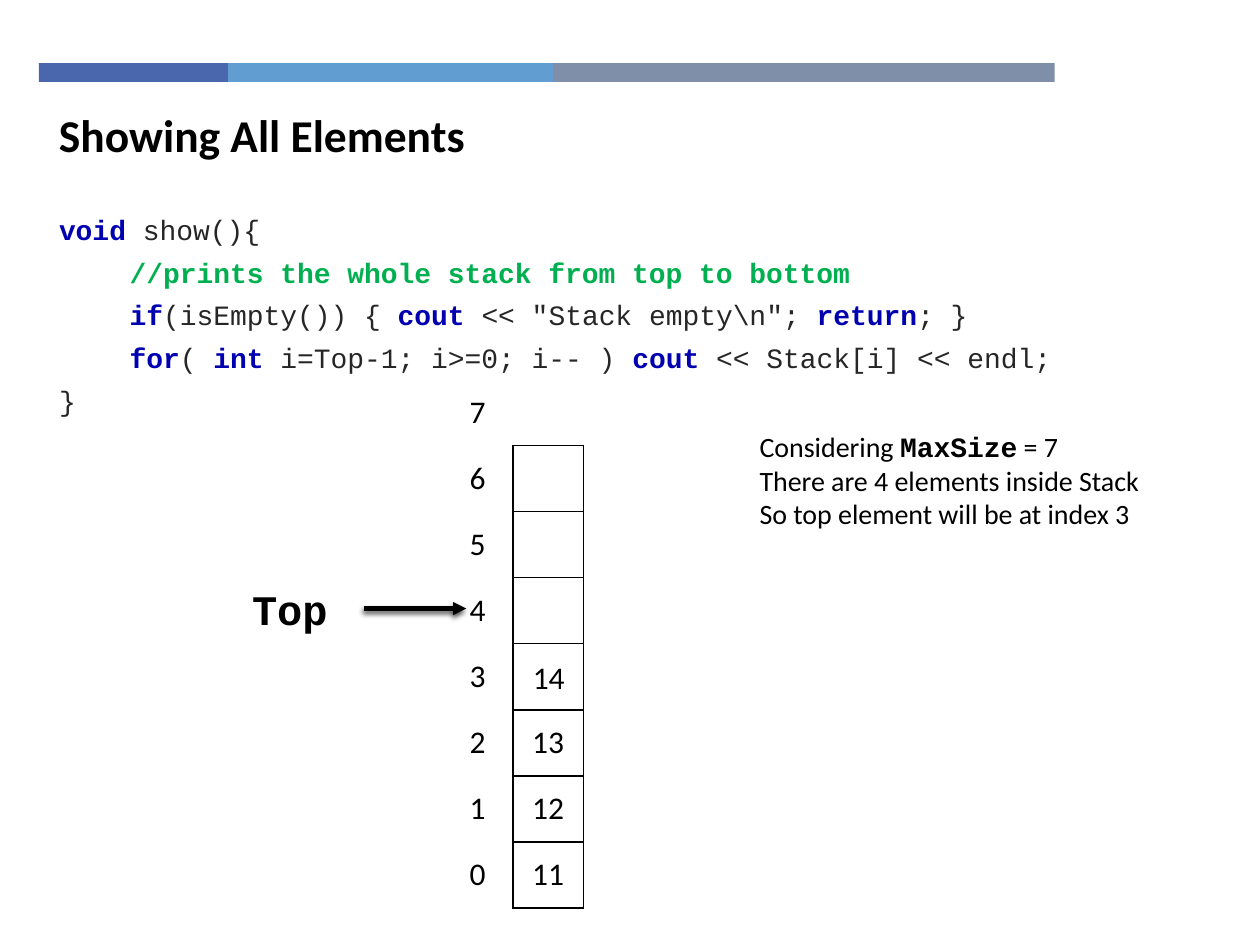
from lxml import etree
from pptx import Presentation
from pptx.dml.color import RGBColor
from pptx.enum.shapes import MSO_CONNECTOR, MSO_SHAPE
from pptx.enum.text import MSO_ANCHOR, PP_ALIGN
from pptx.oxml import parse_xml
from pptx.oxml.ns import nsdecls, qn
from pptx.util import Inches, Pt

RECTANGLE = MSO_SHAPE.RECTANGLE
STRAIGHT = MSO_CONNECTOR.STRAIGHT
TOP, MIDDLE = MSO_ANCHOR.TOP, MSO_ANCHOR.MIDDLE
LEFT, CENTER, JUSTIFY = PP_ALIGN.LEFT, PP_ALIGN.CENTER, PP_ALIGN.JUSTIFY

SANS, MONO = "Calibri", "Courier New"
BLACK, WHITE = "000000", "FFFFFF"
KEYWORD = ("0000B0", True)
PLAIN = ("262626", False)
COMMENT = ("00B050", True)

CODE_LINES = [
    [("void ", KEYWORD), ("show(){", PLAIN)],
    [("\t//prints the whole stack from top to bottom", COMMENT)],
    [("\tif", KEYWORD), ("(isEmpty()) { ", PLAIN), ("cout ", KEYWORD),
     ('<< "Stack empty\\n"; ', PLAIN), ("return", KEYWORD), ("; }", PLAIN)],
    [("\tfor", KEYWORD), ("( ", PLAIN), ("int ", KEYWORD),
     ("i=Top-1; i>=0; i-- ) ", PLAIN), ("cout", KEYWORD),
     (" << Stack[i] << endl;", PLAIN)],
    [("}", PLAIN)],
]
STACK = {0: "11", 1: "12", 2: "13"}
TOP_INDEX = 7
CELL_WIDTH, CELL_HEIGHT = 0.56, 0.525
TABLE_LEFT, TABLE_TOP = 3.51, 3.01


def rgb(value):
    return RGBColor.from_string(value)


def format_run(run, size, font=SANS, color=BLACK, bold=False):
    run.font.size = Pt(size)
    run.font.name = font
    run.font.bold = bold
    run.font.color.rgb = rgb(color)


def add_text(slide, box, lines, size, anchor=TOP, align=LEFT):
    shape = slide.shapes.add_textbox(*map(Inches, box))
    frame = shape.text_frame
    frame.word_wrap = True
    frame.vertical_anchor = anchor
    for index, segments in enumerate(lines):
        paragraph = frame.add_paragraph() if index else frame.paragraphs[0]
        paragraph.alignment = align
        for text, font, color, bold in segments:
            run = paragraph.add_run()
            run.text = text
            format_run(run, size, font, color, bold)
    return frame


def add_rectangle(slide, box, fill):
    shape = slide.shapes.add_shape(RECTANGLE, *map(Inches, box))
    shape.shadow.inherit = False
    shape.fill.solid()
    shape.fill.fore_color.rgb = rgb(fill)
    shape.line.fill.background()
    return shape


def add_header_bar(slide):
    left = 0.31
    for width, color in [(1.5, "4A66AC"), (2.58, "629DD1"), (3.98, "7F8FA9")]:
        add_rectangle(slide, (left, 0.5, width, 0.15), color)
        left += width


def add_code(slide):
    lines = [[(text, MONO, *style) for text, style in line] for line in CODE_LINES]
    frame = add_text(slide, (0.37, 1.69, 8.25, 1.67), lines, 16, align=JUSTIFY)
    for paragraph in frame.paragraphs:
        paragraph.line_spacing = 0.8
        paragraph.space_before = paragraph.space_after = Pt(4.5)
        properties = paragraph._p.get_or_add_pPr()
        properties.set("marL", str(Inches(0.56)))
        properties.set("indent", str(-Inches(0.56)))


def set_borders(cell, sides):
    properties = cell._tc.get_or_add_tcPr()
    for position, side in enumerate(("lnL", "lnR", "lnT", "lnB")):
        visible = side in sides
        paint = (f'<a:solidFill><a:srgbClr val="{BLACK}"/></a:solidFill>'
                 if visible else "<a:noFill/>")
        width = Pt(1) if visible else 0
        properties.insert(position, parse_xml(
            f'<a:{side} {nsdecls("a")} w="{width}">{paint}</a:{side}>'))


def fill_cell(cell, text, sides):
    cell.fill.background()
    cell.vertical_anchor = MIDDLE
    cell.text_frame.text = text
    paragraph = cell.text_frame.paragraphs[0]
    paragraph.alignment = CENTER
    paragraph.font.size = Pt(18)
    for run in paragraph.runs:
        format_run(run, 18)
    set_borders(cell, sides)


def add_stack_table(slide):
    rows = TOP_INDEX + 1
    frame = slide.shapes.add_table(
        rows, 2, Inches(TABLE_LEFT), Inches(TABLE_TOP),
        Inches(2 * CELL_WIDTH), Inches(rows * CELL_HEIGHT))
    table = frame.table
    table.first_row = table.horz_banding = False
    for column in table.columns:
        column.width = Inches(CELL_WIDTH)
    for row in range(rows):
        index = TOP_INDEX - row
        table.rows[row].height = Inches(CELL_HEIGHT)
        fill_cell(table.cell(row, 0), str(index), ("lnR",) if row else ())
        fill_cell(table.cell(row, 1), STACK.get(index, ""),
                  ("lnL", "lnR", "lnT", "lnB") if row else ("lnB",))


def add_top_pointer(slide):
    label = add_rectangle(slide, (1.71, 4.62, 1.18, 0.43), WHITE)
    label.text_frame.text = "Top"
    label.text_frame.vertical_anchor = MIDDLE
    paragraph = label.text_frame.paragraphs[0]
    paragraph.alignment = CENTER
    format_run(paragraph.runs[0], 24, MONO, BLACK, True)

    arrow = slide.shapes.add_connector(
        STRAIGHT, *map(Inches, (2.89, 4.83, 3.7, 4.83)))
    arrow.line.color.rgb = rgb(BLACK)
    arrow.line.width = Pt(2.5)
    etree.SubElement(arrow.line._get_or_add_ln(), qn("a:tailEnd"), type="triangle")
    effects = etree.SubElement(arrow._element.spPr, qn("a:effectLst"))
    shadow = etree.SubElement(
        effects, qn("a:outerShdw"), blurRad=str(Pt(3)), dist=str(Pt(2)),
        dir=str(110 * 60000), rotWithShape="0")
    color = etree.SubElement(shadow, qn("a:srgbClr"), val=BLACK)
    etree.SubElement(color, qn("a:alpha"), val="75000")


def main():
    presentation = Presentation()
    presentation.slide_width = Inches(10)
    presentation.slide_height = Inches(7.5)
    slide = presentation.slides.add_slide(presentation.slide_layouts[6])

    add_header_bar(slide)
    add_code(slide)
    add_text(slide, (0.37, 0.8, 7.16, 0.54),
             [[("Showing All Elements", SANS, BLACK, True)]], 26)
    add_stack_table(slide)
    add_text(slide, (5.93, 3.36, 3.48, 0.91), [
        [("Considering ", SANS, BLACK, False), ("MaxSize", MONO, BLACK, True),
         (" = 7", SANS, BLACK, False)],
        [("There are 4 elements inside Stack", SANS, BLACK, False)],
        [("So top element will be at index 3", SANS, BLACK, False)],
    ], 16, align=JUSTIFY)
    add_top_pointer(slide)
    add_text(slide, (4.08, 5.11, 0.55, 0.52),
             [[("14", SANS, BLACK, False)]], 18, MIDDLE, CENTER)
    presentation.save("out.pptx")


main()
